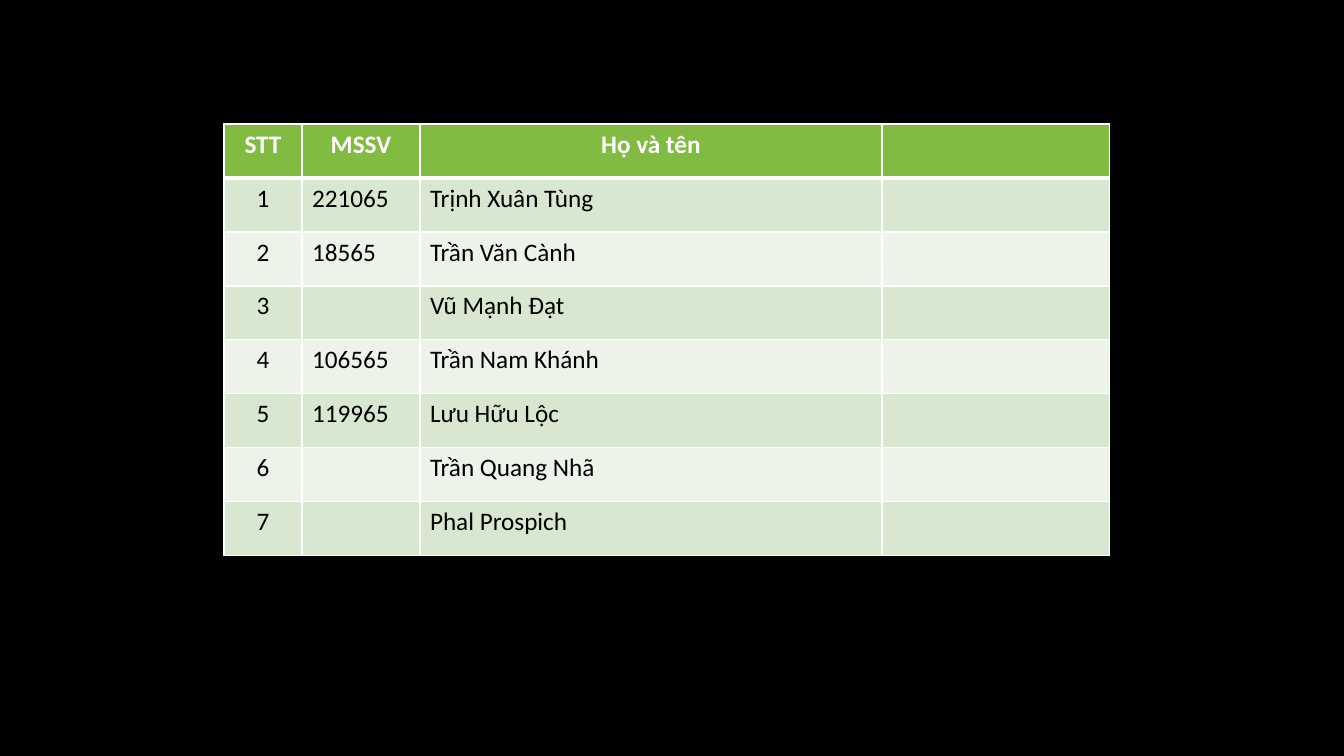
from lxml.etree import SubElement
from pptx import Presentation
from pptx.dml.color import RGBColor
from pptx.enum.text import PP_ALIGN
from pptx.oxml.ns import qn
from pptx.util import Emu, Pt

BLACK = RGBColor(0x00, 0x00, 0x00)
WHITE = RGBColor(0xFF, 0xFF, 0xFF)
GREEN = RGBColor(0x81, 0xBB, 0x42)
BAND_DARK = RGBColor(0xD8, 0xE7, 0xCF)
BAND_LIGHT = RGBColor(0xED, 0xF3, 0xE9)

HEADERS = ["STT", "MSSV", "Họ và tên", ""]
STUDENTS = [
    ("221065", "Trịnh Xuân Tùng"),
    ("18565", "Trần Văn Cành"),
    ("", "Vũ Mạnh Đạt"),
    ("106565", "Trần Nam Khánh"),
    ("119965", "Lưu Hữu Lộc"),
    ("", "Trần Quang Nhã"),
    ("", "Phal Prospich"),
]


def px(n):
    return Emu(round(n * 914400 / 100.8))


class Deck:
    font = "Calibri"
    size = Pt(18)

    def __init__(self, width, height):
        self.prs = Presentation()
        self.prs.slide_width, self.prs.slide_height = px(width), px(height)
        self.slide = None

    def add_slide(self, color):
        self.slide = self.prs.slides.add_slide(self.prs.slide_layouts[6])
        fill = self.slide.background.fill
        fill.solid()
        fill.fore_color.rgb = color

    def border(self, cell, side, width):
        tc_pr = cell._tc.get_or_add_tcPr()
        ln = SubElement(tc_pr, qn(f"a:ln{side}"), w=str(Pt(width)))
        fill = SubElement(ln, qn("a:solidFill"))
        SubElement(fill, qn("a:srgbClr"), val=str(WHITE))

    def cell(self, cell, text, fill, color, bold, align, top, bottom):
        for side, width in zip("LRTB", (1, 1, top, bottom)):
            self.border(cell, side, width)
        cell.fill.solid()
        cell.fill.fore_color.rgb = fill
        cell.text = text
        p = cell.text_frame.paragraphs[0]
        p.alignment = align
        p.font.name, p.font.size = self.font, self.size
        p.font.bold = bold
        p.font.color.rgb = color

    def table(self, left, top, widths, row_height, rows):
        frame = self.slide.shapes.add_table(
            len(rows), len(widths), px(left), px(top),
            px(sum(widths)), px(row_height * len(rows)))
        table = frame.table
        for column, width in zip(table.columns, widths):
            column.width = px(width)
        for i, texts in enumerate(rows):
            table.rows[i].height = px(row_height)
            header = i == 0
            band = BAND_DARK if i % 2 else BAND_LIGHT
            for j, text in enumerate(texts):
                centred = header or j == 0
                self.cell(
                    table.cell(i, j), text,
                    fill=GREEN if header else band,
                    color=WHITE if header else BLACK,
                    bold=header,
                    align=PP_ALIGN.CENTER if centred else PP_ALIGN.LEFT,
                    top=3 if i == 1 else 1,
                    bottom=3 if header else 1)


def main():
    deck = Deck(1344, 756)
    deck.add_slide(BLACK)
    rows = [HEADERS]
    rows += [[str(n), code, name, ""] for n, (code, name) in enumerate(STUDENTS, 1)]
    deck.table(224, 124, [78, 118, 462, 228], 54, rows)
    deck.prs.save("out.pptx")


if __name__ == "__main__":
    main()
